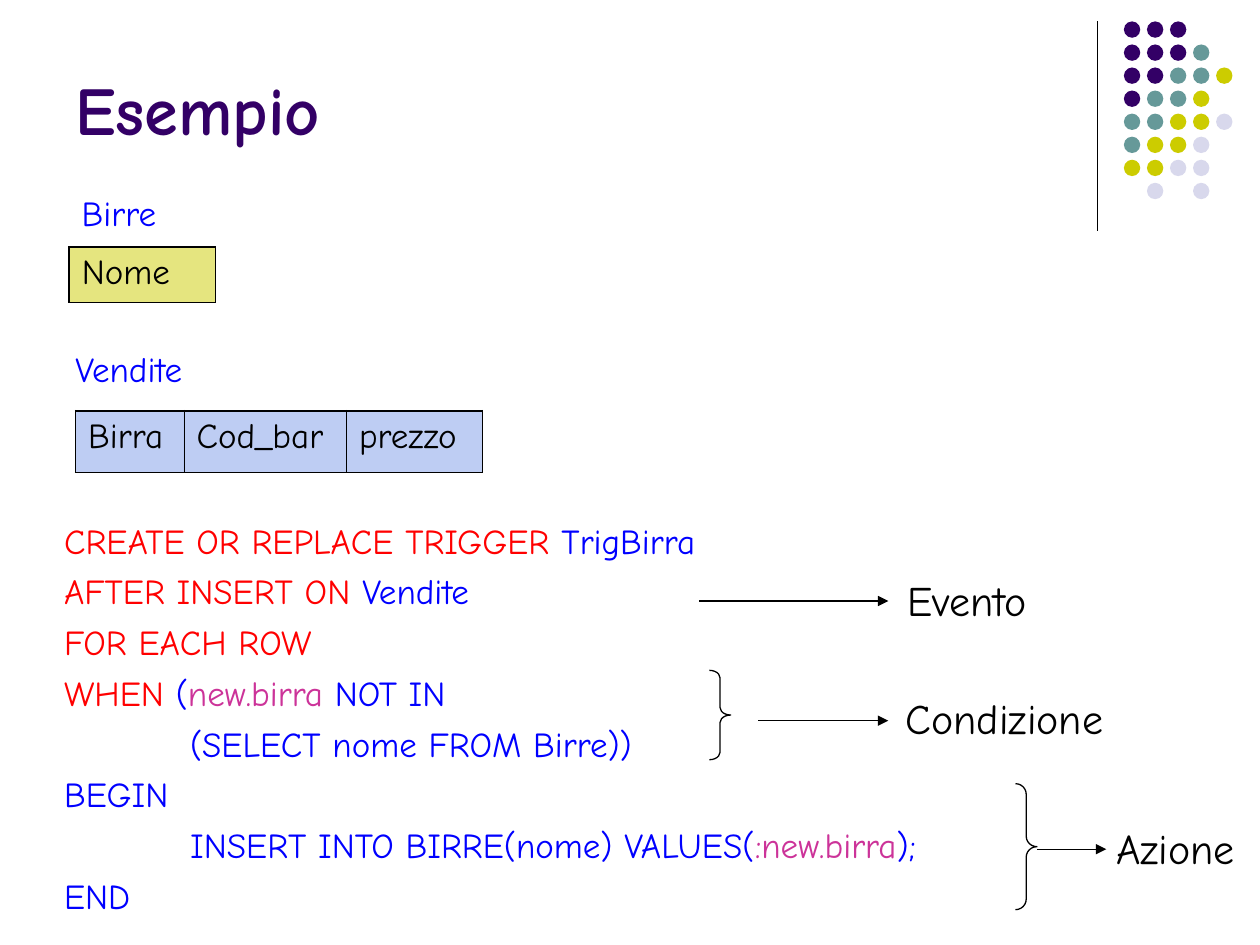
from lxml.etree import SubElement
from pptx import Presentation
from pptx.dml.color import RGBColor
from pptx.enum.shapes import MSO_CONNECTOR, MSO_SHAPE
from pptx.enum.text import MSO_ANCHOR
from pptx.oxml import parse_xml
from pptx.oxml.ns import nsdecls, qn
from pptx.util import Inches, Pt

FONT = "Comic Neue"
COLORS = {
    "black": "000000", "purple": "330066", "teal": "669999", "olive": "CCCC00",
    "lilac": "D8D8EC", "red": "FF0000", "blue": "0000FF", "pink": "CC3399",
    "periwinkle": "7E9CE8",
}

# Content: (text, colour) runs, grouped by line with an indent in inches
TITLE = "Esempio"
TRIGGER_CODE = [
    (0, [("CREATE OR REPLACE TRIGGER ", "red"), ("TrigBirra", "blue")]),
    (0, [("AFTER INSERT ON ", "red"), ("Vendite", "blue")]),
    (0, [("FOR EACH ROW", "red")]),
    (0, [("WHEN ", "red"), ("(", "blue"), ("new.birra", "pink"), (" NOT IN", "blue")]),
    (1, [("(SELECT nome FROM Birre))", "blue")]),
    (0, [("BEGIN", "blue")]),
    (1, [("INSERT INTO BIRRE(nome) VALUES(", "blue"), (":new.birra", "pink"), (");", "blue")]),
    (0, [("END", "blue")]),
]
# Name, name box, table left and top, row height, columns, fill
TABLES = [
    ("Birre", (0.55, 1.47, 0.85, 0.44), (0.55, 1.96), 0.44,
     [("Nome", 1.16)], "olive"),
    ("Vendite", (0.5, 2.71, 1.12, 0.44), (0.6, 3.26), 0.49,
     [("Birra", 0.86), ("Cod_bar", 1.29), ("prezzo", 1.08)], "periwinkle"),
]
# Label, label box, arrow (from x, to x, y)
CALLOUTS = [
    ("Evento", (7.1, 4.51, 1.22, 0.5), (5.55, 7.05, 4.77)),
    ("Condizione", (7.09, 5.45, 1.88, 0.5), (6.02, 7.05, 5.72)),
    ("Azione", (8.76, 6.48, 1.2, 0.5), (8.23, 8.78, 6.74)),
]
BRACES = [(5.63, 5.32, 0.17, 0.71), (8.06, 6.22, 0.17, 1)]
DOT_ROWS = ["PPP", "PPPT", "PPTTO", "PTTO", "TTOOL", "TOOL", "OOLL", " L L"]
DOT_COLORS = {"P": "purple", "T": "teal", "O": "olive", "L": "lilac"}
DOT_LEFT, DOT_TOP, DOT_SIZE, DOT_PITCH = 8.92, 0.17, 0.13, 0.183
OUTER_BORDER, INNER_BORDER = 1.08, 0.45


def rgb(color):
    return RGBColor.from_string(COLORS[color])


def inches(values):
    return [Inches(value) for value in values]


def add_runs(paragraph, runs, size, bold=False):
    for text, color in runs:
        run = paragraph.add_run()
        run.text = text
        for name, value in {"name": FONT, "size": Pt(size), "bold": bold}.items():
            setattr(run.font, name, value)
        run.font.color.rgb = rgb(color)


def add_text(slide, box, lines, size, bold=False, anchor=MSO_ANCHOR.TOP):
    frame = slide.shapes.add_textbox(*inches(box)).text_frame
    for name, value in {"word_wrap": True, "vertical_anchor": anchor}.items():
        setattr(frame, name, value)
    for index, (indent, runs) in enumerate(lines):
        paragraph = frame.add_paragraph() if index else frame.paragraphs[0]
        paragraph.space_before = Pt(5 if index else 0)
        if indent:
            properties = paragraph._p.get_or_add_pPr()
            properties.set("marL", str(Inches(indent)))
            properties.set("indent", "0")
        add_runs(paragraph, runs, size, bold)


def add_label(slide, box, text, color, size):
    add_text(slide, box, [(0, [(text, color)])], size)


def add_line(slide, start, end, arrow=False):
    connector = slide.shapes.add_connector(
        MSO_CONNECTOR.STRAIGHT, *inches(start + end))
    connector.line.color.rgb = rgb("black")
    connector.line.width = Pt(0.75)
    if arrow:
        SubElement(connector.line._get_or_add_ln(), qn("a:tailEnd"), type="triangle")
    SubElement(connector._element.spPr, qn("a:effectLst"))


def add_dots(slide):
    for row, pattern in enumerate(DOT_ROWS):
        for column, key in enumerate(pattern):
            if key == " ":
                continue
            dot = slide.shapes.add_shape(MSO_SHAPE.OVAL, *inches((
                DOT_LEFT + column * DOT_PITCH, DOT_TOP + row * DOT_PITCH,
                DOT_SIZE, DOT_SIZE)))
            dot.shadow.inherit = False
            dot.fill.solid()
            dot.fill.fore_color.rgb = rgb(DOT_COLORS[key])
            dot.line.fill.background()


def add_brace(slide, box):
    brace = slide.shapes.add_shape(MSO_SHAPE.RIGHT_BRACE, *inches(box))
    brace.adjustments[0] = box[3] / box[2] / 12
    brace.shadow.inherit = False
    brace.fill.background()
    brace.line.color.rgb = rgb("black")
    brace.line.width = Pt(0.75)


def style_cell(cell, fill, borders):
    cell.fill.solid()
    cell.fill.fore_color.rgb = rgb(fill)
    properties = cell._tc.get_or_add_tcPr()
    color = properties.find(".//" + qn("a:srgbClr"))
    SubElement(color, qn("a:alpha"), val="50000")
    for index, (side, width) in enumerate(borders.items()):
        properties.insert(index, parse_xml(
            f'<a:ln{side} {nsdecls("a")} w="{Pt(width)}"><a:solidFill>'
            f'<a:srgbClr val="{COLORS["black"]}"/></a:solidFill></a:ln{side}>'))


def add_schema(slide, position, height, columns, fill):
    width = sum(column_width for _, column_width in columns)
    table = slide.shapes.add_table(
        1, len(columns), *inches((*position, width, height))).table
    table.first_row = table.horz_banding = False
    last = len(columns) - 1
    for index, (text, column_width) in enumerate(columns):
        table.columns[index].width = Inches(column_width)
        cell = table.cell(0, index)
        add_runs(cell.text_frame.paragraphs[0], [(text, "black")], 20)
        style_cell(cell, fill, {
            "L": INNER_BORDER if index > 0 else OUTER_BORDER,
            "R": INNER_BORDER if index < last else OUTER_BORDER,
            "T": OUTER_BORDER, "B": OUTER_BORDER})


def main():
    presentation = Presentation()
    presentation.slide_width, presentation.slide_height = inches((10, 7.5))
    slide = presentation.slides.add_slide(presentation.slide_layouts[6])

    # Corner decoration
    add_line(slide, (8.71, 0.17), (8.71, 1.83))
    add_dots(slide)

    # Title and trigger code
    add_text(slide, (0.5, -0.19, 8.25, 1.42), [(0, [(TITLE, "purple")])], 39,
             bold=True, anchor=MSO_ANCHOR.BOTTOM)
    add_text(slide, (0.41, 4.07, 8.92, 3.25), TRIGGER_CODE, 20)

    # Parts of the trigger
    for box in BRACES:
        add_brace(slide, box)
    for text, box, (start, end, y) in CALLOUTS:
        add_line(slide, (start, y), (end, y), arrow=True)
        add_label(slide, box, text, "black", 24)

    # Database tables
    for name, box, position, height, columns, fill in TABLES:
        add_label(slide, box, name, "blue", 20)
        add_schema(slide, position, height, columns, fill)

    presentation.save("out.pptx")


if __name__ == "__main__":
    main()
